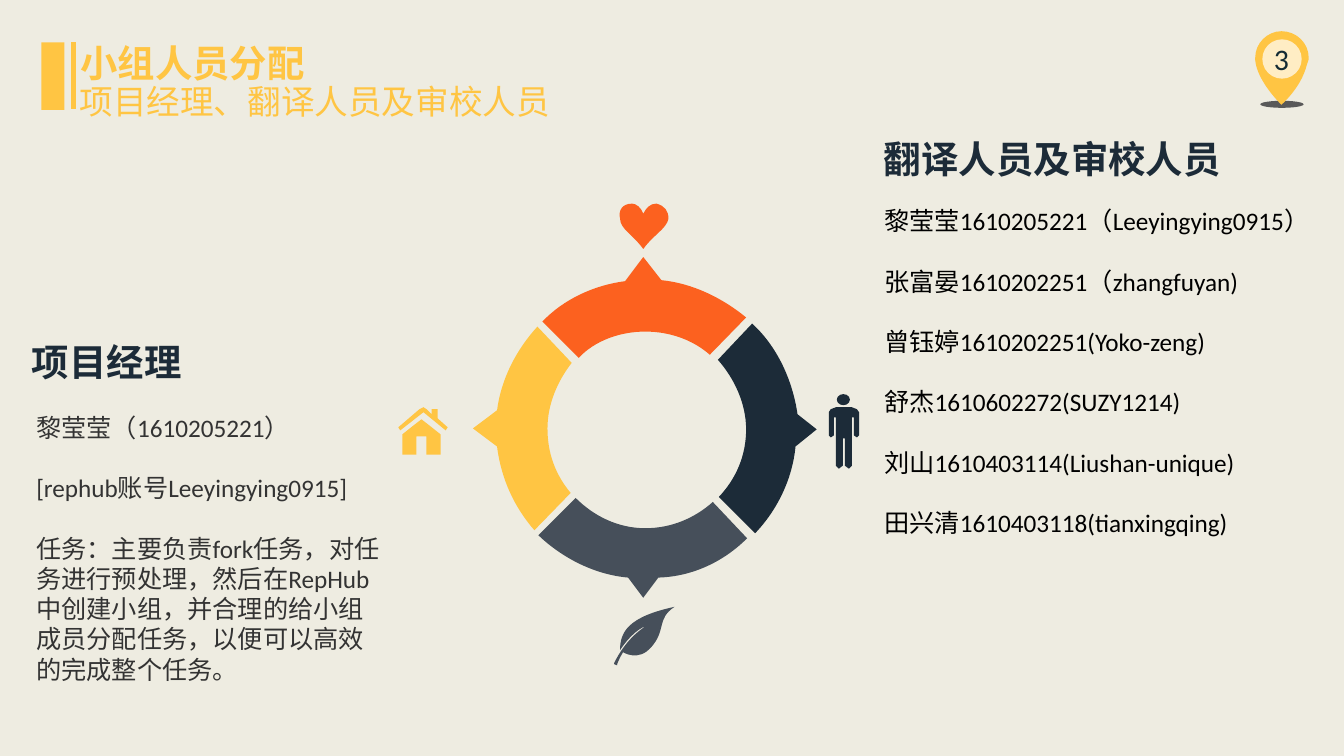
"""Build the team roles slide: a four-part ring between the manager and the translators."""
import pptx
import pptx.util
import pptx.dml.color
import pptx.enum.shapes
import pptx.enum.text
import pptx.oxml.ns
import lxml.etree

Inches, Pt = pptx.util.Inches, pptx.util.Pt
qn = pptx.oxml.ns.qn
SHAPE = pptx.enum.shapes.MSO_SHAPE
ALIGN = pptx.enum.text.PP_ALIGN
ANCHOR = pptx.enum.text.MSO_ANCHOR

COLORS = {"cream": "EEECE1", "yellow": "FFC543", "orange": "FC611F", "navy": "1C2B38",
          "slate": "464F5A", "gray": "595959", "white": "FFFFFF", "black": "000000",
          "text": "333333", "number": "152C34"}

TITLE = "小组人员分配"
SUBTITLE = "项目经理、翻译人员及审校人员"
PAGE = "3"
MANAGER_HEADING = "项目经理"
MANAGER = ["黎莹莹（1610205221）",
           "[rephub账号Leeyingying0915]",
           "任务：主要负责fork任务，对任务进行预处理，然后在RepHub中创建小组，"
           "并合理的给小组成员分配任务，以便可以高效的完成整个任务。"]
TEAM_HEADING = "翻译人员及审校人员"
TEAM = ["黎莹莹1610205221（Leeyingying0915）", "张富晏1610202251（zhangfuyan)",
        "曾钰婷1610202251(Yoko-zeng)", "舒杰1610602272(SUZY1214)",
        "刘山1610403114(Liushan-unique)", "田兴清1610403118(tianxingqing)"]

# Outlines hold line ends as (x, y) and curves as (x1, y1, x2, y2, x, y).
PIN = [(12.98, 0.59), (12.98, 0.57), (12.98, 0.43, 12.86, 0.31, 12.71, 0.31),
       (12.57, 0.31, 12.45, 0.43, 12.45, 0.57), (12.45, 0.6),
       (12.47, 0.81, 12.71, 1.04, 12.71, 1.04), (12.88, 0.88, 12.94, 0.73, 12.96, 0.65),
       (12.97, 0.63, 12.97, 0.61, 12.98, 0.59)]
RING = {
    "yellow": [(4.93, 4.07), (4.69, 4.25), (4.93, 4.43), (4.97, 4.75, 5.1, 5.03, 5.3, 5.26),
               (5.66, 4.89), (5.51, 4.71, 5.43, 4.5, 5.43, 4.25),
               (5.43, 4.01, 5.53, 3.78, 5.67, 3.6), (5.33, 3.24),
               (5.12, 3.47, 4.97, 3.76, 4.93, 4.07)],
    "slate": [(5.71, 4.94), (5.34, 5.31), (5.57, 5.53, 5.89, 5.7, 6.23, 5.73), (6.38, 5.93),
              (6.53, 5.73), (6.87, 5.72, 7.18, 5.57, 7.41, 5.34), (7.07, 4.98),
              (6.89, 5.14, 6.66, 5.24, 6.4, 5.24), (6.13, 5.24, 5.89, 5.12, 5.71, 4.94)],
    "orange": [(6.38, 2.55), (6.2, 2.79), (5.89, 2.83, 5.59, 2.97, 5.38, 3.19), (5.74, 3.55),
               (5.9, 3.38, 6.15, 3.29, 6.4, 3.29), (6.64, 3.29, 6.87, 3.37, 7.04, 3.52),
               (7.4, 3.15), (7.17, 2.96, 6.87, 2.81, 6.56, 2.78)],
    "navy": [(7.91, 4.11), (7.86, 3.77, 7.71, 3.44, 7.46, 3.21), (7.12, 3.57),
             (7.28, 3.75, 7.4, 4, 7.4, 4.26), (7.4, 4.52, 7.3, 4.75, 7.13, 4.93),
             (7.49, 5.29), (7.71, 5.06, 7.86, 4.75, 7.89, 4.43), (8.1, 4.26)],
}
HOUSE_HALF = [(4.18, 4.16), (4.27, 4.23), (4.37, 4.31), (4.37, 4.51), (4.23, 4.51), (4.23, 4.33)]
ROOF = [(4.34, 4.15), (4.34, 4.06), (4.28, 4.06), (4.28, 4.11), (4.23, 4.06), (4.2, 4.04),
        (4.16, 4.06), (3.95, 4.24), (3.97, 4.27), (4.2, 4.09), (4.42, 4.27), (4.44, 4.24)]
PERSON_HALF = [(8.37, 4.04), (8.45, 4.04), (8.5, 4.06), (8.52, 4.09), (8.52, 4.32), (8.5, 4.34),
               (8.47, 4.32), (8.47, 4.14), (8.45, 4.14), (8.45, 4.62), (8.42, 4.65),
               (8.38, 4.62), (8.38, 4.35)]
LEAF = [(6.09, 6.58), (6.09, 6.58, 6.09, 6.6, 6.12, 6.6), (6.12, 6.57, 6.18, 6.47, 6.18, 6.47),
        (6.18, 6.47, 6.33, 6.57, 6.46, 6.42), (6.61, 6.25, 6.51, 6.14, 6.69, 6.02),
        (6.23, 6.12, 6.15, 6.27, 6.15, 6.45), (6.2, 6.37, 6.31, 6.24, 6.41, 6.21),
        (6.23, 6.32, 6.13, 6.5, 6.09, 6.58)]
HEART = [(6.38, 2.12), (6.36, 2.06, 6.31, 2.02, 6.27, 2.02), (6.17, 2.02, 6.13, 2.09, 6.15, 2.17),
         (6.15, 2.27, 6.28, 2.33, 6.38, 2.47), (6.48, 2.33, 6.61, 2.27, 6.63, 2.17),
         (6.63, 2.09, 6.59, 2.04, 6.51, 2.02), (6.45, 2.02, 6.41, 2.06, 6.38, 2.12)]


def rgb(color):
    return pptx.dml.color.RGBColor.from_string(COLORS[color])


def paint(part, color):
    part.shadow.inherit = False
    part.fill.solid()
    part.fill.fore_color.rgb = rgb(color)
    part.line.fill.background()
    return part


def preset(kind, box, color):
    return paint(slide.shapes.add_shape(kind, *map(Inches, box)), color)


def mirrored(half):
    axis = half[0][0]
    return half + [(2 * axis - x, y) for x, y in reversed(half[1:])]


def outline(segments, color):
    ends = [(Inches(segment[-2]), Inches(segment[-1])) for segment in segments]
    builder = slide.shapes.build_freeform(*ends[0], scale=1.0)
    builder.add_line_segments(ends[1:], close=True)
    part = paint(builder.convert_to_shape(), color)
    steps = list(part._element.iter(qn("a:lnTo")))
    for step, segment in zip(steps, segments[1:]):
        if len(segment) == 6:
            curve = lxml.etree.Element(qn("a:cubicBezTo"))
            for x, y in zip(segment[::2], segment[1::2]):
                lxml.etree.SubElement(curve, qn("a:pt"), x=str(Inches(x) - part.left),
                                      y=str(Inches(y) - part.top))
            step.getparent().replace(step, curve)


def write(part, box, paragraphs, size, color, bold=False, font="Calibri",
          align=ALIGN.LEFT, wrap=False, gap=0, anchor=ANCHOR.TOP):
    part.left, part.top, part.width, part.height = map(Inches, box)
    frame = part.text_frame
    frame.auto_size = pptx.enum.text.MSO_AUTO_SIZE.NONE
    frame.word_wrap = wrap
    frame.vertical_anchor = anchor
    for index, text in enumerate(paragraphs):
        paragraph = frame.add_paragraph() if index else frame.paragraphs[0]
        paragraph.alignment = align
        paragraph.space_before = Pt(gap if index else 0)
        properties = paragraph._p.get_or_add_pPr()
        properties.set("marL", "0")
        properties.set("indent", "0")
        lxml.etree.SubElement(properties, qn("a:buNone"))
        run = paragraph.add_run()
        run.text = text
        run.font.size, run.font.bold, run.font.name = Pt(size), bold, font
        run.font.color.rgb = rgb(color)


deck = pptx.Presentation()
deck.slide_width, deck.slide_height = Inches(13.33), Inches(7.5)
slide = deck.slides.add_slide(deck.slide_layouts.get_by_name("Comparison"))
slide.background.fill.solid()
slide.background.fill.fore_color.rgb = rgb("cream")

preset(SHAPE.OVAL, (12.5, 1, 0.43, 0.07), "gray")
outline(PIN, "yellow")
pin_center = preset(SHAPE.OVAL, (12.52, 0.39, 0.39, 0.39), "white")
pin_color = pin_center.fill._xPr.find(".//" + qn("a:srgbClr"))
lxml.etree.SubElement(pin_color, qn("a:alpha"), val="69000")

for color, segments in RING.items():
    outline(segments, color)
outline(mirrored(HOUSE_HALF), "yellow")
outline(ROOF, "yellow")
outline(mirrored(PERSON_HALF), "navy")
preset(SHAPE.OVAL, (8.3, 3.91, 0.13, 0.11), "navy")
outline(LEAF, "slate")
outline(HEART, "orange")

preset(SHAPE.RECTANGLE, (0.41, 0.42, 0.23, 0.67), "yellow")
title_rule = slide.shapes.add_connector(pptx.enum.shapes.MSO_CONNECTOR.STRAIGHT,
                                        *map(Inches, (0.73, 0.42, 0.73, 1.08)))
title_rule.line.color.rgb = rgb("yellow")
title_rule.line.width = Pt(3)
lxml.etree.SubElement(title_rule._element.spPr, qn("a:effectLst"))

places = slide.placeholders
heading = {"size": 26.7, "bold": True, "align": ALIGN.CENTER}
people = {"size": 18, "wrap": True, "gap": 21.5}
write(places[0], (0.69, 0.35, 2.44, 0.55), [TITLE], color="yellow", font="Courier New", **heading)
write(places[1], (0.21, 3.31, 1.7, 0.55), [MANAGER_HEADING], color="navy", **heading)
write(places[2], (0.26, 4.04, 3.69, 3.13), MANAGER, color="text", **people)
write(places[3], (8.65, 1.3, 3.58, 0.55), [TEAM_HEADING], color="navy", **heading)
write(places[4], (8.67, 1.99, 4.46, 3.43), TEAM, color="black", **people)
subtitle, page = (slide.shapes.add_textbox(0, 0, 0, 0) for _ in range(2))
write(subtitle, (0.69, 0.75, 4.91, 0.5), [SUBTITLE], 24, "yellow")
write(page, (12.41, 0.38, 0.6, 0.4), [PAGE], 21.3, "number",
      align=ALIGN.CENTER, anchor=ANCHOR.MIDDLE)

deck.save("out.pptx")
